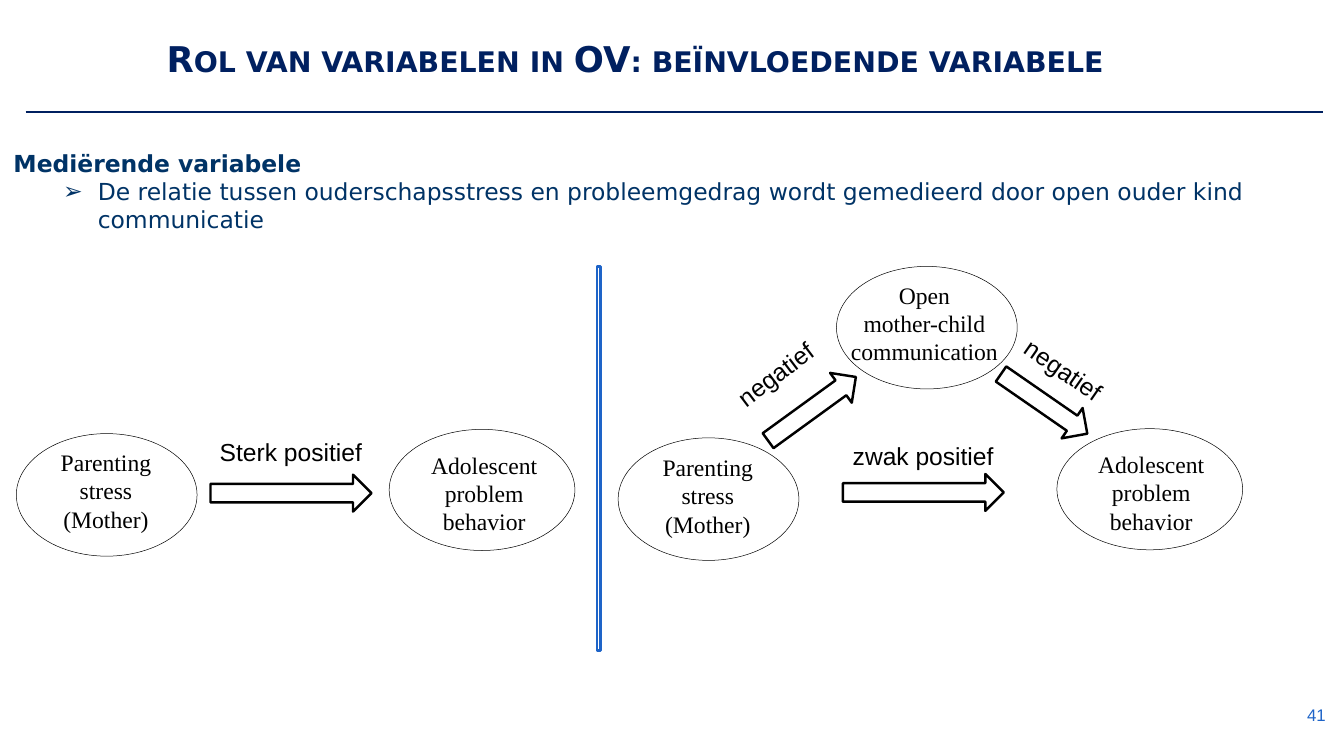
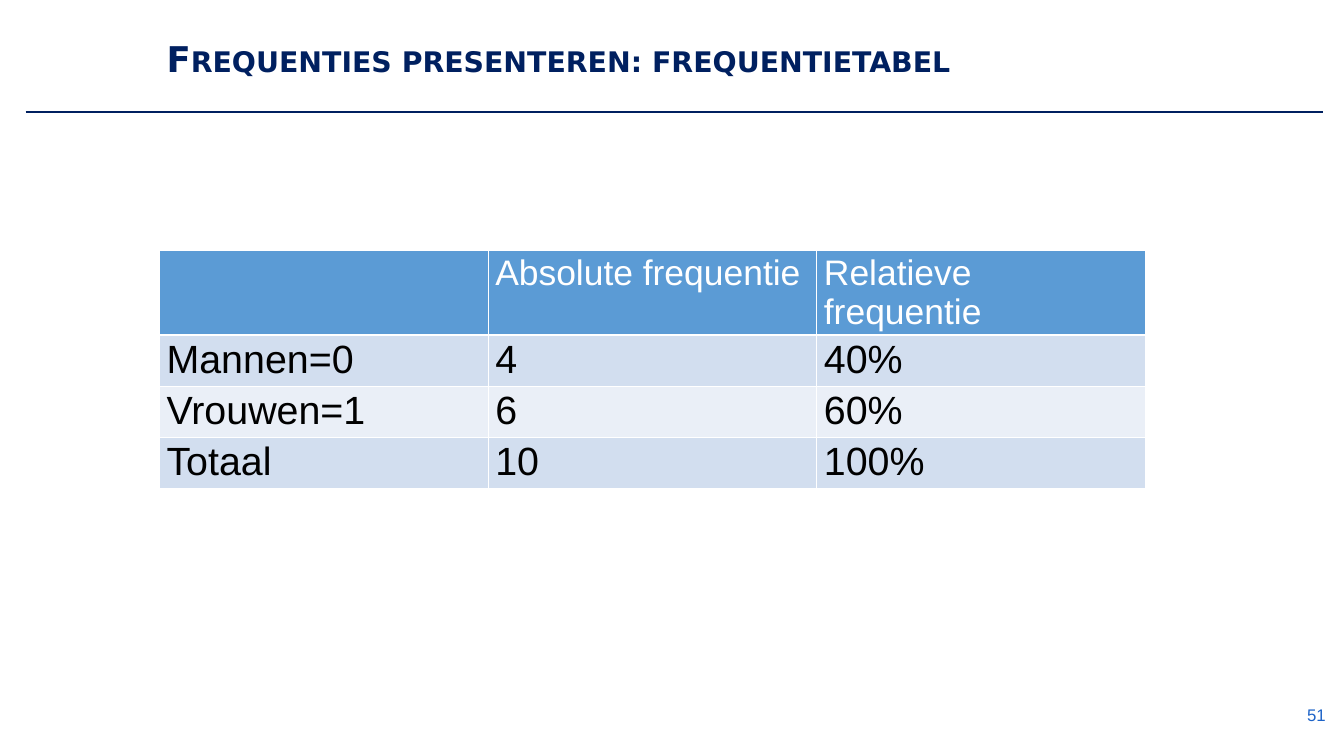
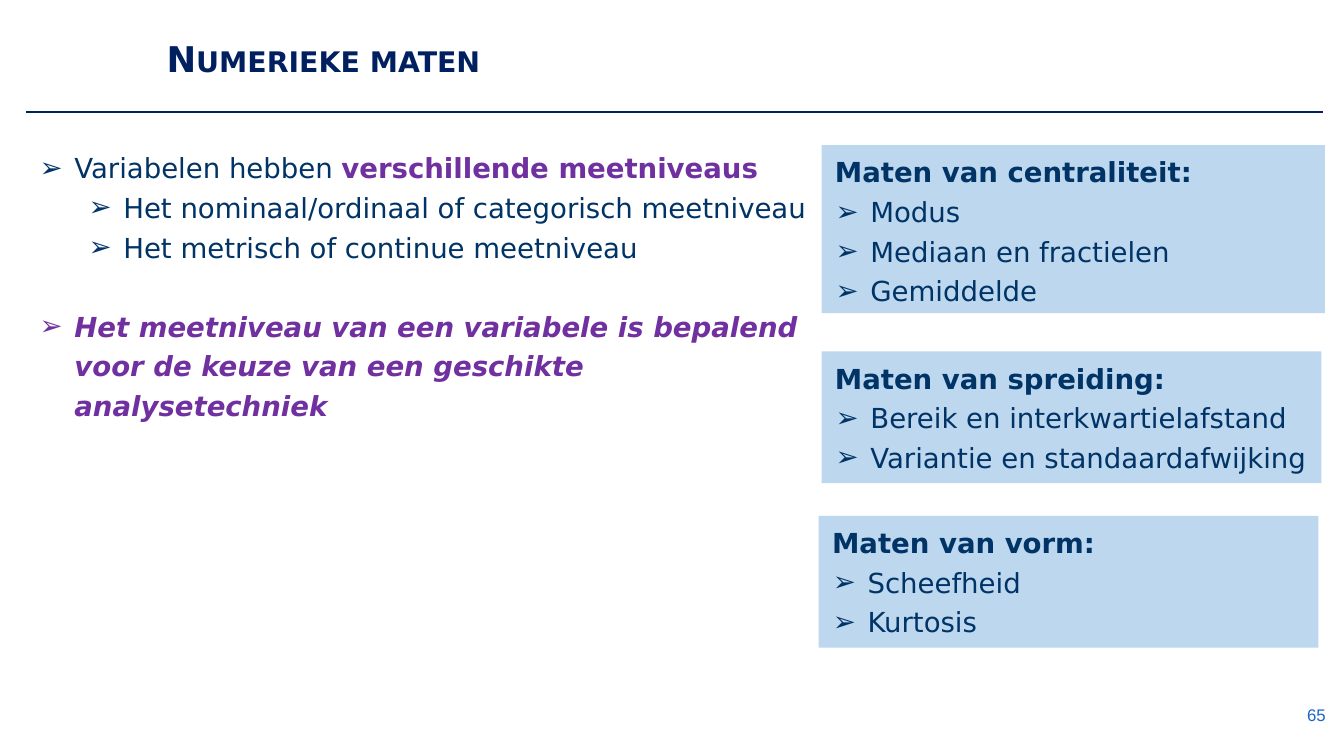
from dataclasses import dataclass
from typing import NamedTuple, Optional

from lxml import etree
from pptx import Presentation
from pptx.dml.color import RGBColor
from pptx.enum.shapes import MSO_CONNECTOR, MSO_SHAPE
from pptx.enum.text import MSO_ANCHOR, MSO_AUTO_SIZE, PP_ALIGN
from pptx.oxml.ns import qn
from pptx.util import Inches, Pt

RECTANGLE, OVAL, RIGHT_ARROW = MSO_SHAPE.RECTANGLE, MSO_SHAPE.OVAL, MSO_SHAPE.RIGHT_ARROW
STRAIGHT = MSO_CONNECTOR.STRAIGHT
TOP, MIDDLE, BOTTOM = MSO_ANCHOR.TOP, MSO_ANCHOR.MIDDLE, MSO_ANCHOR.BOTTOM
LEFT, CENTER, RIGHT = PP_ALIGN.LEFT, PP_ALIGN.CENTER, PP_ALIGN.RIGHT
NO_FIT = MSO_AUTO_SIZE.NONE

NAVY = RGBColor(0x00, 0x20, 0x60)
INK = RGBColor(0x00, 0x33, 0x66)
BLUE = RGBColor(0x1E, 0x64, 0xC8)
PURPLE = RGBColor(0x70, 0x30, 0xA0)
PALE_BLUE = RGBColor(0xBD, 0xD7, 0xEE)
HEADER_BLUE = RGBColor(0x5B, 0x9B, 0xD5)
BANDS = RGBColor(0xD2, 0xDE, 0xEF), RGBColor(0xEA, 0xEF, 0xF7)
BLACK = RGBColor(0, 0, 0)
WHITE = RGBColor(255, 255, 255)

HEADING_FONT, PLAIN_FONT, SERIF_FONT = "DejaVu Sans", "Arial", "Times New Roman"
CELL = Inches(0.1)  # step of the layout grid
TITLE_LAYOUT, TITLE_ONLY_LAYOUT = 1, 5
THICK = 2.5


class Area(NamedTuple):
    """Place on the grid, in columns and rows of one CELL."""
    column: float
    row: float
    columns: float
    rows: float

    def emu(self) -> tuple:
        return tuple(round(value * CELL) for value in self)


class Indent(NamedTuple):
    margin: float
    hanging: float
    bullet: str = ""
    level: int = 0


HEADING = Indent(0.09, 0)
ITEM = Indent(0.59, -0.49, "➢")
SUBITEM = Indent(1.28, -0.49, "➢", 1)


class Span(NamedTuple):
    text: str
    color: RGBColor = INK
    bold: bool = False
    italic: bool = False


@dataclass
class Line:
    indent: Indent
    spans: list
    before: float = 0


@dataclass
class Concept:
    """An oval with its label."""
    oval: Area
    label: Area
    lines: tuple


@dataclass
class Arrow:
    area: Area
    caption: str
    caption_area: Area
    turn: float = 0
    caption_turn: float = 0


@dataclass
class Panel:
    area: Area
    heading: str
    items: tuple


TITLE_AREA = Area(22.5, 1.4, 163.5, 10.4)
NUMBER_AREA = Area(177.9, 98, 10.1, 5.7)
RULE_START, RULE_END, RULE_ROW = 3.6, 186.7, 15.8

PARENT = ("Parenting", "stress", "(Mother)")
CHILD = ("Adolescent", "problem behavior")
CONCEPTS = [
    Concept(Area(2.3, 61.2, 25.5, 17.3), Area(4.8, 62.7, 20.3, 16.2), PARENT),
    Concept(Area(54.9, 60.6, 26.2, 17.1), Area(56.7, 63.1, 23.2, 16), CHILD),
    Concept(Area(87.2, 61.8, 25.5, 17.3), Area(89.7, 63.4, 20.3, 16.2), PARENT),
    Concept(Area(149.1, 60.5, 26.2, 17.1), Area(150.8, 63, 23.2, 16), CHILD),
    Concept(Area(118, 37.6, 25.5, 17.3), Area(118.9, 39.1, 23, 16.2),
            ("Open", "mother-child communication")),
]
ARROWS = [
    Arrow(Area(29.7, 67, 22.7, 5.2), "Sterk positief", Area(29, 60.3, 25.6, 5.6)),
    Arrow(Area(118.9, 66.9, 22.7, 5.2), "zwak positief", Area(118.3, 60.9, 25.6, 5.6)),
    Arrow(Area(106.9, 55.1, 15.3, 5.2), "negatief", Area(99.9, 46.7, 25.6, 5.6), 324, 323),
    Arrow(Area(139.9, 54.4, 14.8, 5.2), "negatief", Area(141.4, 51.5, 25.6, 5.6), 34.7, 34.7),
]
DIVIDER = Area(84.2, 37.6, 0.5, 54.2)

FREQUENCIES = [
    ("", "Absolute frequentie", "Relatieve frequentie"),
    ("Mannen=0", "4", "40%"),
    ("Vrouwen=1", "6", "60%"),
    ("Totaal", "10", "100%"),
]
TABLE_AREA = Area(22.5, 35.3, 139.1, 33.6)
HEADER_ROWS, BODY_ROWS = 12, 7.2

PANELS = [
    Panel(Area(115.9, 20.5, 71, 23.7), "Maten van centraliteit:",
          ("Modus", "Mediaan en fractielen", "Gemiddelde")),
    Panel(Area(115.9, 49.6, 70.5, 18.6), "Maten van spreiding:",
          ("Bereik en interkwartielafstand", "Variantie en standaardafwijking")),
    Panel(Area(115.5, 72.8, 70.5, 18.6), "Maten van vorm:", ("Scheefheid", "Kurtosis")),
]


def add_span(para, text: str, font: str, size: float, color: RGBColor,
             bold: bool = False, italic: bool = False):
    span = para.add_run()
    span.text = text
    span.font.name, span.font.size = font, Pt(size)
    span.font.bold, span.font.italic = bold, italic
    span.font.color.rgb = color
    return span


def paragraphs(frame, count: int) -> list:
    """Wrap the text of a frame and give it so many paragraphs."""
    frame.word_wrap = True
    frame.auto_size = NO_FIT
    return [frame.paragraphs[0]] + [frame.add_paragraph() for _ in range(count - 1)]


def write_list(frame, lines: list, size: float, spacing: float) -> None:
    frame.vertical_anchor = TOP
    for para, line in zip(paragraphs(frame, len(lines)), lines):
        indent = line.indent
        para.level = indent.level
        para.alignment = LEFT
        properties = para._p.get_or_add_pPr()
        properties.set("marL", str(Inches(indent.margin)))
        properties.set("indent", str(Inches(indent.hanging)))
        if indent.bullet:
            etree.SubElement(properties, qn("a:buFont"), typeface=HEADING_FONT)
            etree.SubElement(properties, qn("a:buChar"), char=indent.bullet)
        else:
            etree.SubElement(properties, qn("a:buNone"))
        para.line_spacing = spacing
        para.space_before, para.space_after = Pt(line.before), Pt(0)
        for text, color, bold, italic in line.spans:
            add_span(para, text, HEADING_FONT, size, color, bold, italic)


def add_preset(shapes, kind, area: Area, fill: Optional[RGBColor] = None,
               line: Optional[RGBColor] = None, width: float = THICK):
    shape = shapes.add_shape(kind, *area.emu())
    shape.shadow.inherit = False
    if fill is None:
        shape.fill.background()
    else:
        shape.fill.solid()
        shape.fill.fore_color.rgb = fill
    if line is None:
        shape.line.fill.background()
    else:
        shape.line.color.rgb = line
        shape.line.width = Pt(width)
    return shape


def place(placeholder, area: Area) -> None:
    placeholder.left, placeholder.top, placeholder.width, placeholder.height = area.emu()


def start_slide(deck, layout: int, title: str, number: str):
    """Add a slide with the shared title, rule and page number."""
    slide = deck.slides.add_slide(deck.slide_layouts[layout])
    heading = slide.shapes.title
    place(heading, TITLE_AREA)
    heading.text_frame.vertical_anchor = BOTTOM
    para = paragraphs(heading.text_frame, 1)[0]
    para.alignment, para.line_spacing = LEFT, 0.9
    span = add_span(para, title, HEADING_FONT, 36, NAVY, bold=True)
    span._r.get_or_add_rPr().set("cap", "small")

    start, end, row = (round(value * CELL) for value in (RULE_START, RULE_END, RULE_ROW))
    rule = slide.shapes.add_connector(STRAIGHT, start, row, end, row)
    rule.line.color.rgb, rule.line.width = NAVY, Pt(THICK)
    etree.SubElement(rule._element.spPr, qn("a:effectLst"))

    box = slide.shapes.add_textbox(*NUMBER_AREA.emu())
    box.text_frame.vertical_anchor = MIDDLE
    para = paragraphs(box.text_frame, 1)[0]
    para.alignment = RIGHT
    add_span(para, number, PLAIN_FONT, 17.1, BLUE)
    return slide


def write_body(slide, area: Area, lines: list, size: float, spacing: float) -> None:
    body = slide.placeholders[1]
    place(body, area)
    write_list(body.text_frame, lines, size, spacing)


def draw_concept(slide, concept: Concept) -> None:
    group = slide.shapes.add_group_shape()
    label = add_preset(group.shapes, RECTANGLE, concept.label, WHITE)
    label.text_frame.vertical_anchor = TOP
    for para, text in zip(paragraphs(label.text_frame, len(concept.lines)), concept.lines):
        para.alignment = CENTER
        add_span(para, text, SERIF_FONT, 24, BLACK)
    add_preset(group.shapes, OVAL, concept.oval, line=BLACK, width=0.5)


def draw_arrow(slide, arrow: Arrow) -> None:
    shape = add_preset(slide.shapes, RIGHT_ARROW, arrow.area, line=BLACK)
    shape.rotation = arrow.turn
    box = slide.shapes.add_textbox(*arrow.caption_area.emu())
    box.rotation = arrow.caption_turn
    box.text_frame.margin_left = Inches(0.2)
    para = paragraphs(box.text_frame, 1)[0]
    para.line_spacing = 1.2
    add_span(para, arrow.caption, PLAIN_FONT, 25, BLACK)


def draw_panel(slide, panel: Panel) -> None:
    shape = add_preset(slide.shapes, RECTANGLE, panel.area, PALE_BLUE)
    lines = [Line(HEADING, [Span(panel.heading, bold=True)])]
    lines += [Line(ITEM, [Span(item)]) for item in panel.items]
    write_list(shape.text_frame, lines, 28, 1.2)


def add_border(cell, side: str, width: float) -> None:
    line = etree.SubElement(cell._tc.get_or_add_tcPr(), qn(f"a:ln{side}"), w=str(Pt(width)))
    fill = etree.SubElement(line, qn("a:solidFill"))
    etree.SubElement(fill, qn("a:srgbClr"), val=str(WHITE))


def draw_table(slide, area: Area, rows: list) -> None:
    table = slide.shapes.add_table(len(rows), len(rows[0]), *area.emu()).table
    table.horz_banding = False
    for column in table.columns:
        column.width = round(area.columns * CELL / len(rows[0]))
    for index, texts in enumerate(rows):
        header = index == 0
        table.rows[index].height = round((HEADER_ROWS if header else BODY_ROWS) * CELL)
        for position, text in enumerate(texts):
            cell = table.cell(index, position)
            cell.margin_top = cell.margin_bottom = Inches(0.04)
            for side in "LRTB":
                add_border(cell, side, 3 if header and side == "B" else 1)
            cell.fill.solid()
            cell.fill.fore_color.rgb = HEADER_BLUE if header else BANDS[(index - 1) % 2]
            if text:
                add_span(cell.text_frame.paragraphs[0], text, PLAIN_FONT,
                         36 if header else 40, WHITE if header else BLACK)


def build_mediation(deck) -> None:
    slide = start_slide(deck, TITLE_LAYOUT,
                        "Rol van variabelen in OV: beïnvloedende variabele", "41")
    write_body(slide, Area(0, 20.5, 185.5, 13.1), [
        Line(HEADING, [Span("Mediërende variabele", bold=True)]),
        Line(SUBITEM, [Span("De relatie tussen ouderschapsstress en probleemgedrag wordt "
                            "gemedieerd door open ouder kind communicatie")]),
    ], 23.8, 1.0)
    for concept in CONCEPTS:
        draw_concept(slide, concept)
    for arrow in ARROWS:
        draw_arrow(slide, arrow)
    add_preset(slide.shapes, RECTANGLE, DIVIDER, line=BLUE)


def build_frequencies(deck) -> None:
    slide = start_slide(deck, TITLE_ONLY_LAYOUT,
                        "Frequenties presenteren: frequentietabel", "51")
    draw_table(slide, TABLE_AREA, FREQUENCIES)


def build_measures(deck) -> None:
    slide = start_slide(deck, TITLE_LAYOUT, "Numerieke maten", "65")
    write_body(slide, Area(3.6, 19.9, 112, 75.1), [
        Line(ITEM, [Span("Variabelen hebben "),
                    Span("verschillende meetniveaus", PURPLE, bold=True)]),
        Line(SUBITEM, [Span("Het nominaal/ordinaal of categorisch meetniveau")]),
        Line(SUBITEM, [Span("Het metrisch of continue meetniveau")]),
        Line(ITEM, [Span("Het meetniveau van een variabele is bepalend voor de keuze van "
                         "een geschikte analysetechniek", PURPLE, True, True)], before=40),
    ], 28, 1.2)
    for panel in PANELS:
        draw_panel(slide, panel)


def main() -> None:
    deck = Presentation()
    deck.slide_width, deck.slide_height = Inches(18.96), Inches(10.67)
    build_mediation(deck)
    build_frequencies(deck)
    build_measures(deck)
    deck.save("out.pptx")


if __name__ == "__main__":
    main()
